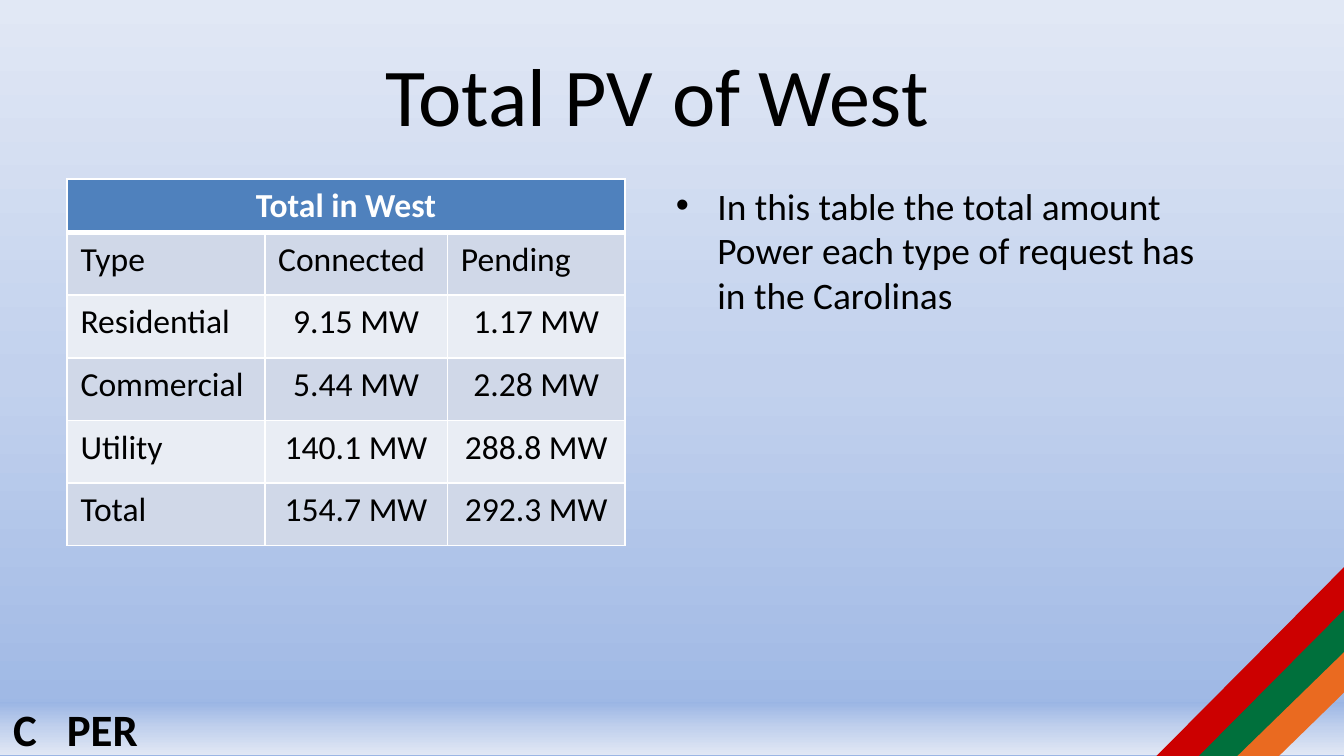
from copy import deepcopy

from lxml.etree import SubElement
from pptx import Presentation
from pptx.dml.color import RGBColor
from pptx.enum.shapes import MSO_SHAPE
from pptx.enum.text import MSO_ANCHOR, PP_ALIGN
from pptx.oxml import parse_xml
from pptx.oxml.ns import nsdecls, qn
from pptx.util import Inches, Pt

FONT = "Calibri"
BLACK, WHITE = "000000", "FFFFFF"
HEADER_FILL = "4F81BD"
BAND_FILLS = ("E9EDF4", "D0D8E8")
GRADIENT = ("9AB5E4", "C2D1ED", "E1E8F5")

SLIDE_WIDTH = 10
SLIDE_HEIGHT = SLIDE_WIDTH * 9 / 16

TITLE = "Total PV of West "
NOTE = "In this table the total amount Power each type of request has in the Carolinas"
TABLE_TITLE = "Total in West"
ROWS = [
    ("Type", "Connected", "Pending"),
    ("Residential", "9.15 MW", "1.17 MW"),
    ("Commercial", "5.44 MW", "2.28 MW"),
    ("Utility", "140.1 MW", "288.8 MW"),
    ("Total", "154.7 MW", "292.3 MW"),
]
COLUMN_WIDTHS = (1.47, 1.36, 1.32)
TABLE_HEIGHT, HEADER_HEIGHT = 2.73, 0.4
ROW_HEIGHT = (TABLE_HEIGHT - HEADER_HEIGHT) / len(ROWS)

# left, top, width, height, stripe adjustment, colour
STRIPES = [
    (9.19, 4.84, 0.81, 0.79, 0.604, "EA6A20"),
    (8.87, 4.53, 1.13, 1.1, 0.708, "00703C"),
    (8.6, 4.22, 1.4, 1.41, 0.776, "CC0000"),
]


def rgb(color):
    return RGBColor.from_string(color)


def write(frame, text, size=18, color=BLACK, bold=False, align=PP_ALIGN.LEFT,
          anchor=MSO_ANCHOR.TOP, bullet=None, indent=0.31, tab=None):
    frame.word_wrap = True
    frame.vertical_anchor = anchor
    para = frame.paragraphs[0]
    para.alignment = align
    properties = para._p.get_or_add_pPr()
    if bullet:
        properties.set("marL", str(Inches(indent)))
        properties.set("indent", str(-Inches(indent)))
        SubElement(properties, qn("a:buFont"), typeface="Arial")
        SubElement(properties, qn("a:buChar"), char=bullet)
    if tab:
        stops = SubElement(properties, qn("a:tabLst"))
        SubElement(stops, qn("a:tab"), pos=str(Inches(tab)), algn="l")
    span = para.add_run()
    span.text = text
    span.font.name = FONT
    span.font.size = Pt(size)
    span.font.bold = bold
    span.font.color.rgb = rgb(color)


def add_text(page, place, text, **style):
    box = page.shapes.add_textbox(*map(Inches, place))
    write(box.text_frame, text, **style)


def add_plain_shape(page, kind, place):
    shape = page.shapes.add_shape(kind, *map(Inches, place))
    shape.shadow.inherit = False
    shape.line.fill.background()
    return shape


def fill_gradient(fill, element, angle):
    """Fill with the three GRADIENT colours; angle runs counter-clockwise."""
    fill.gradient()
    fill.gradient_angle = angle
    stops = element.xpath(".//a:gsLst")[0]
    stops.append(deepcopy(stops[-1]))
    for stop, color, position in zip(fill.gradient_stops, GRADIENT, (0, 0.5, 1)):
        stop.color.rgb = rgb(color)
        stop.position = position


def style_cell(cell, color, top=1, bottom=1):
    cell.fill.solid()
    cell.fill.fore_color.rgb = rgb(color)
    borders = (("lnL", 1), ("lnR", 1), ("lnT", top), ("lnB", bottom))
    for index, (side, width) in enumerate(borders):
        cell._tc.get_or_add_tcPr().insert(index, parse_xml(
            f'<a:{side} {nsdecls("a")} w="{Pt(width)}"><a:solidFill>'
            f'<a:srgbClr val="{WHITE}"/></a:solidFill></a:{side}>'))


def add_power_table(page, left, top):
    table = page.shapes.add_table(
        len(ROWS) + 1, len(COLUMN_WIDTHS), Inches(left), Inches(top),
        Inches(sum(COLUMN_WIDTHS)), Inches(TABLE_HEIGHT)).table
    for column, width in zip(table.columns, COLUMN_WIDTHS):
        column.width = Inches(width)
    for index, row in enumerate(table.rows):
        row.height = Inches(ROW_HEIGHT if index else HEADER_HEIGHT)

    for cell in table.rows[0].cells:
        style_cell(cell, HEADER_FILL, bottom=3)
    title = table.cell(0, 0)
    title.merge(table.cell(0, len(COLUMN_WIDTHS) - 1))
    write(title.text_frame, TABLE_TITLE, color=WHITE, bold=True, align=PP_ALIGN.CENTER)

    for r, values in enumerate(ROWS, start=1):
        for c, value in enumerate(values):
            cell = table.cell(r, c)
            style_cell(cell, BAND_FILLS[r % 2], top=3 if r == 1 else 1)
            is_number = r > 1 and c > 0
            write(cell.text_frame, value,
                  align=PP_ALIGN.CENTER if is_number else PP_ALIGN.LEFT)


def main():
    deck = Presentation()
    deck.slide_width, deck.slide_height = Inches(SLIDE_WIDTH), Inches(SLIDE_HEIGHT)
    page = deck.slides.add_slide(deck.slide_layouts[6])
    fill_gradient(page.background.fill, page._element, 90)

    footer = add_plain_shape(page, MSO_SHAPE.RECTANGLE, (0, 5.22, SLIDE_WIDTH, 0.4))
    fill_gradient(footer.fill, footer._element, 270)
    write(footer.text_frame, "C\tPER", size=24, bold=True,
          anchor=MSO_ANCHOR.MIDDLE, tab=0.4)

    for *place, adjustment, color in STRIPES:
        stripe = add_plain_shape(page, MSO_SHAPE.DIAGONAL_STRIPE, place)
        stripe.rotation = 180
        stripe.adjustments[0] = adjustment
        stripe.fill.solid()
        stripe.fill.fore_color.rgb = rgb(color)

    add_text(page, (0.5, 0.23, 8.92, 0.94), TITLE, size=44,
             align=PP_ALIGN.CENTER, anchor=MSO_ANCHOR.MIDDLE)
    add_power_table(page, 0.5, 1.33)
    add_text(page, (4.93, 1.31, 4.16, 1.41), NOTE, size=20, bullet="•")
    deck.save("out.pptx")


if __name__ == "__main__":
    main()
